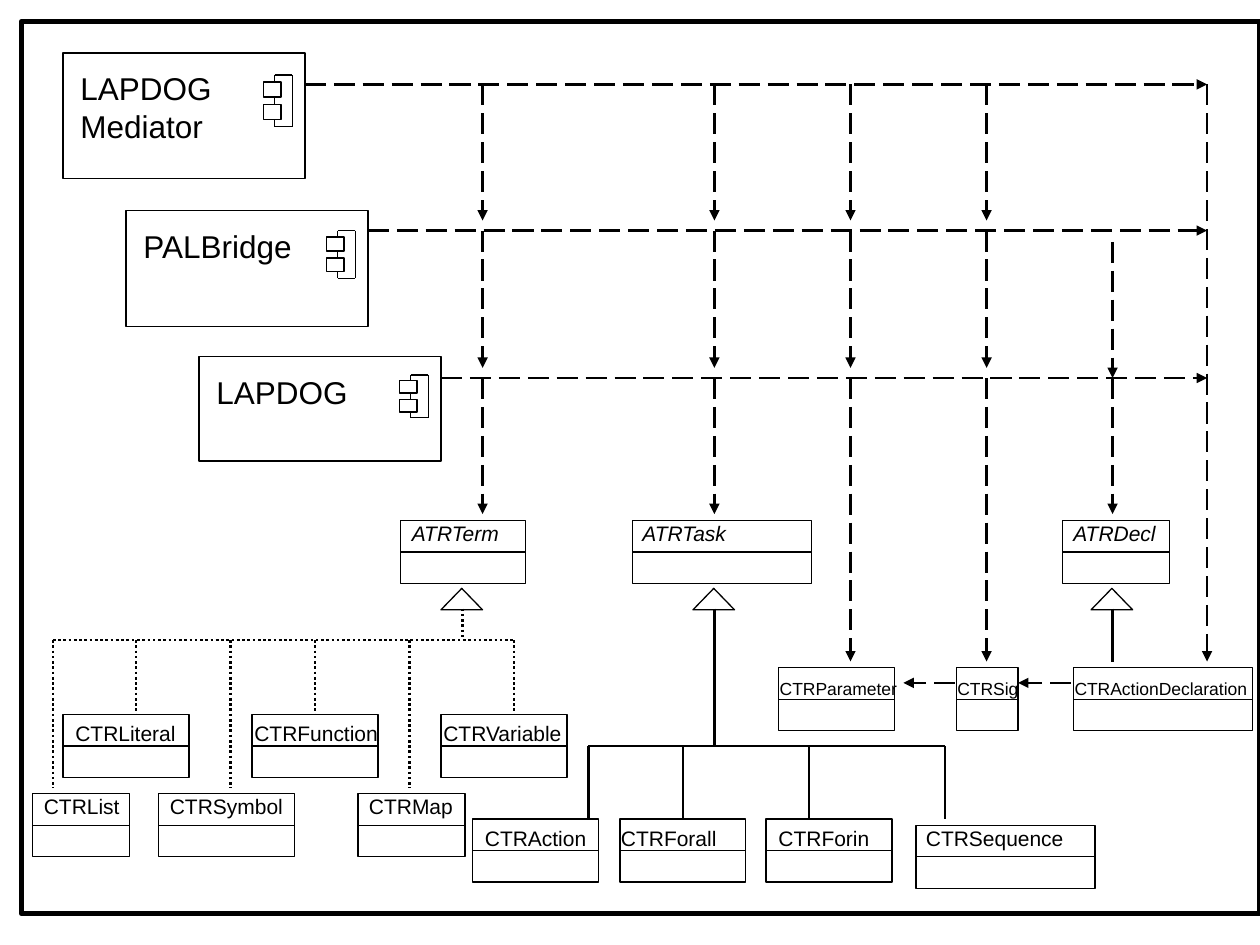
from dataclasses import dataclass

from lxml import etree
from pptx import Presentation, util as u
from pptx.dml.color import RGBColor
from pptx.enum import dml, shapes, text
from pptx.oxml.ns import qn


@dataclass(frozen=True)
class Theme:
    ink: RGBColor = RGBColor(0, 0, 0)
    paper: RGBColor = RGBColor(255, 255, 255)
    font: str = "Arial"
    component: int = 18
    label: int = 12
    small: int = 10
    thin: float = 0.75
    medium: float = 1.5
    thick: float = 3


THEME = Theme()
DASHED = dml.MSO_LINE.LONG_DASH
DOTTED = dml.MSO_LINE.ROUND_DOT
RECTANGLE = shapes.MSO_SHAPE.RECTANGLE
TRIANGLE = shapes.MSO_SHAPE.ISOSCELES_TRIANGLE

# Component: name, left, top, height
COMPONENTS = [
    ("LAPDOG\nMediator", 0.5, 0.42, 1),
    ("PALBridge", 1, 1.67, 0.92),
    ("LAPDOG", 1.58, 2.83, 0.83),
]
# Class: name, left, top, width, then label left, top and width
ABSTRACT_CLASSES = [
    ("ATRTerm", 3.18, 4.13, 0.99, 3.17, 4.08, 0.92),
    ("ATRTask", 5.02, 4.13, 1.42, 5, 4.08, 0.89),
    ("ATRDecl", 8.43, 4.13, 0.85, 8.42, 4.08, 0.92),
]
DECLARATION_CLASSES = [
    ("CTRParameter", 6.18, 5.3, 0.92, 6.09, 5.33, 1.13),
    ("CTRSig", 7.59, 5.3, 0.49, 7.5, 5.33, 0.68),
    ("CTRActionDeclaration", 8.52, 5.3, 1.42, 8.43, 5.33, 1.57),
]
CONCRETE_CLASSES = [
    ("CTRLiteral", 0.5, 5.67, 1, 0.5, 5.67, 1),
    ("CTRFunction", 2, 5.67, 1, 1.92, 5.67, 1.25),
    ("CTRVariable", 3.5, 5.67, 1, 3.42, 5.67, 1.25),
    ("CTRList", 0.26, 6.3, 0.77, 0.25, 6.25, 0.83),
    ("CTRSymbol", 1.26, 6.3, 1.08, 1.25, 6.25, 1.17),
    ("CTRMap", 2.84, 6.3, 0.85, 2.83, 6.25, 0.92),
    ("CTRAction", 3.75, 6.5, 1, 3.75, 6.5, 1.25),
    ("CTRForall", 4.92, 6.5, 1, 4.83, 6.5, 1.25),
    ("CTRForin", 6.08, 6.5, 1, 6.08, 6.5, 1.25),
    ("CTRSequence", 7.27, 6.55, 1.42, 7.25, 6.5, 1.29),
]


def length(inches):
    return u.Cm(inches * 2.54)


def add_outline(parent, kind, left, top, width, height, weight=THEME.thin, fill=None):
    shape = parent.add_shape(kind, *map(length, (left, top, width, height)))
    shape.shadow.inherit = False
    if fill is None:
        shape.fill.background()
    else:
        shape.fill.solid()
        shape.fill.fore_color.rgb = fill
    shape.line.color.rgb = THEME.ink
    shape.line.width = u.Pt(weight)
    return shape


def add_line(parent, start, end, weight=THEME.medium, dash=None, arrow=False):
    connector = parent.add_connector(
        shapes.MSO_CONNECTOR.STRAIGHT, *map(length, (*start, *end)))
    connector.line.color.rgb = THEME.ink
    connector.line.width = u.Pt(weight)
    if dash is not None:
        connector.line.dash_style = dash
    if arrow:
        etree.SubElement(connector.line._get_or_add_ln(), qn("a:tailEnd"), type="triangle")
    etree.SubElement(connector._element.spPr, qn("a:effectLst"))
    return connector


def add_text(parent, content, left, top, width, height, size=THEME.label, italic=False):
    box = parent.add_textbox(*map(length, (left, top, width, height)))
    frame = box.text_frame
    frame.word_wrap = True
    frame.margin_right = 0  # leaves slack so that tight labels stay on one line
    frame.auto_size = text.MSO_AUTO_SIZE.SHAPE_TO_FIT_TEXT
    frame.text = content
    for paragraph in frame.paragraphs:
        font = paragraph.font
        font.name, font.size, font.italic = THEME.font, u.Pt(size), italic
        font.color.rgb = THEME.ink


def add_component(slide, name, left, top, height):
    parent = slide.shapes.add_group_shape().shapes
    add_outline(parent, RECTANGLE, left, top, 1.92, height)
    text_height = 0.4 + 0.3 * name.count("\n")
    add_text(parent, name, left + 0.04, top + 0.08, 1.4, text_height,
             size=THEME.component)

    # Component symbol, scaled with the height of the box
    inner, outer = left + 1.68, left + 1.82
    upper, lower = top + 0.175 * height, top + 0.585 * height
    blocks = [top + 0.23 * height, top + 0.41 * height]
    block_height = 0.12 * height
    for block in blocks:
        add_outline(parent, RECTANGLE, left + 1.59, block, 0.14, block_height,
                    fill=THEME.paper)
    for start, end in [
        ((inner, blocks[0]), (inner, upper)),
        ((inner, upper), (outer, upper)),
        ((outer, upper), (outer, lower)),
        ((inner, lower), (outer, lower)),
        ((inner, blocks[0] + block_height), (inner, blocks[1])),
        ((inner, blocks[1] + block_height), (inner, lower)),
    ]:
        add_line(parent, start, end, weight=THEME.thin)


def add_class(slide, name, left, top, width, text_left, text_top, text_width, **style):
    parent = slide.shapes.add_group_shape().shapes
    box = add_outline(parent, RECTANGLE, left, top, width, 0.5)
    add_line(parent, (left, top + 0.25), (left + width, top + 0.25), weight=THEME.thin)
    add_text(parent, name, text_left, text_top, text_width, 0.3, **style)
    return box


def add_dependency(slide, start, end):
    add_line(slide.shapes, start, end, dash=DASHED, arrow=True)


def add_inheritance(slide, x, bar_y, children=(), dash=None):
    """Triangle, stem, bar and one branch for each (x, y, class box) child."""
    add_outline(slide.shapes, TRIANGLE, x - 0.17, 4.67, 0.33, 0.17)
    add_line(slide.shapes, (x, 4.83), (x, bar_y), dash=dash)
    if children:
        ends = [child[0] for child in children]
        add_line(slide.shapes, (min(ends), bar_y), (max(ends), bar_y), dash=dash)
    for child_x, child_y, box in children:
        branch = add_line(slide.shapes, (child_x, bar_y), (child_x, child_y), dash=dash)
        if box is not None:
            branch.end_connect(box, 0)


def main():
    presentation = Presentation()
    presentation.slide_width, presentation.slide_height = length(10), length(7.5)
    slide = presentation.slides.add_slide(presentation.slide_layouts[6])

    # Frame, components and classes
    add_outline(slide.shapes, RECTANGLE, 0.17, 0.17, 9.83, 7.08, weight=THEME.thick)
    for component in COMPONENTS:
        add_component(slide, *component)
    for entry in ABSTRACT_CLASSES:
        add_class(slide, *entry, italic=True)
    for entry in DECLARATION_CLASSES:
        add_class(slide, *entry, size=THEME.small)
    boxes = {entry[0]: add_class(slide, *entry) for entry in CONCRETE_CLASSES}

    # Dependencies: one bus per component, with drops to the classes
    for left, y in [(2.42, 0.67), (2.92, 1.83), (3.5, 3)]:
        add_dependency(slide, (left, y), (9.58, y))
    for x, bottom in [(3.83, 4.08), (5.67, 4.08), (6.75, 5.25), (7.83, 5.25)]:
        for start, end in [(0.67, 1.75), (1.83, 2.92), (3, bottom)]:
            add_dependency(slide, (x, start), (x, end))
    for x, start, end in [(8.83, 1.92, 3), (8.83, 3, 4.08), (9.58, 0.67, 5.25)]:
        add_dependency(slide, (x, start), (x, end))
    for start, end in [(8.5, 8.08), (7.58, 7.17)]:
        add_dependency(slide, (start, 5.42), (end, 5.42))

    # Inheritance trees
    add_inheritance(slide, 3.67, 5.08, [
        (0.42, 6.25, None), (1.08, 5.67, None), (1.83, 6.25, None),
        (2.5, 5.67, boxes["CTRFunction"]), (3.25, 6.25, None), (4.08, 5.67, None),
    ], dash=DOTTED)
    add_inheritance(slide, 5.67, 5.92, [
        (4.67, 6.5, None), (5.42, 6.5, boxes["CTRForall"]),
        (6.42, 6.5, None), (7.5, 6.5, None),
    ])
    add_inheritance(slide, 8.83, 5.25)

    presentation.save("out.pptx")


if __name__ == "__main__":
    main()
